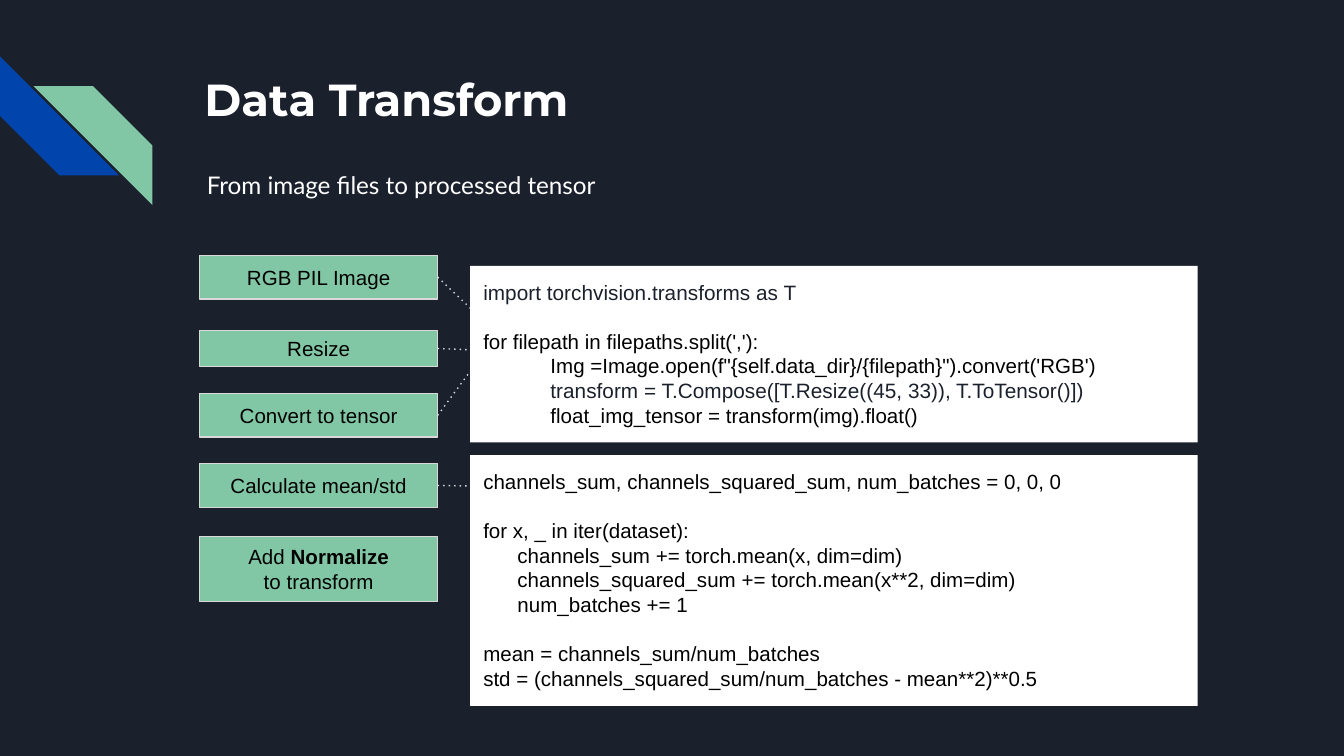
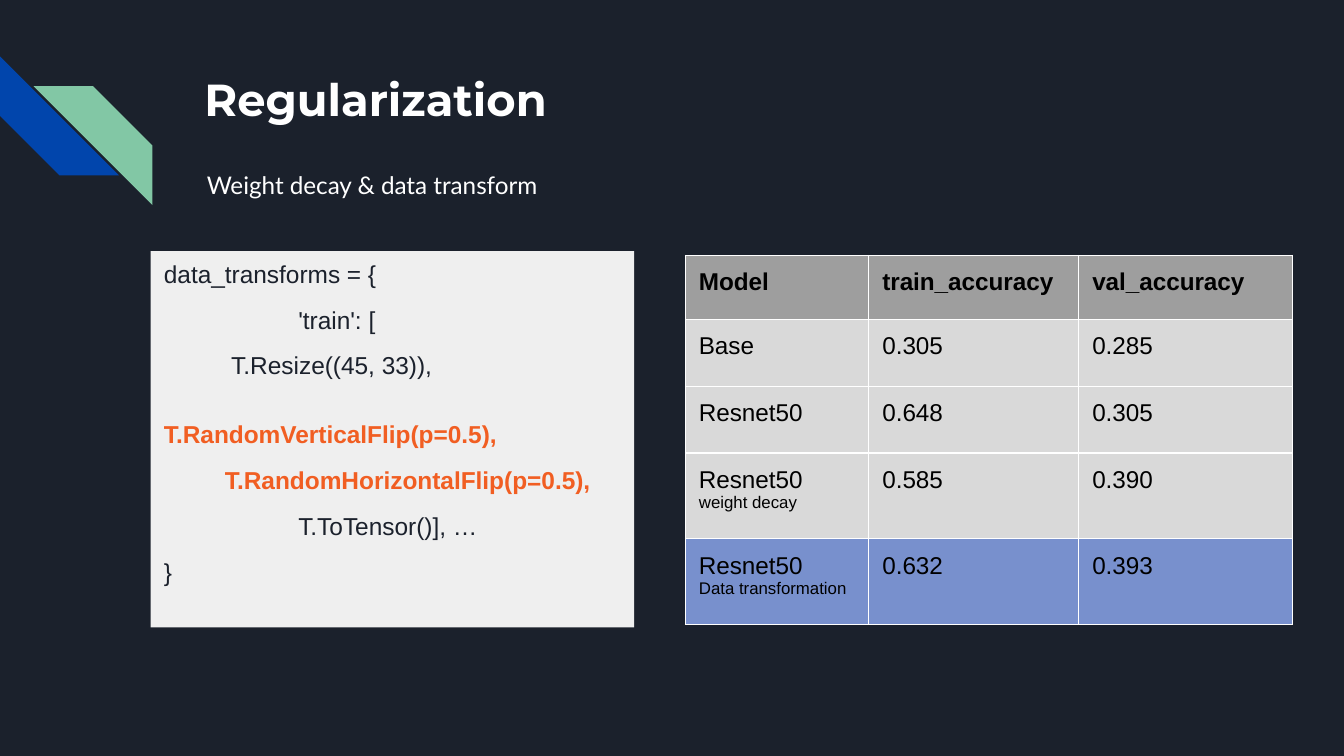
from dataclasses import dataclass

from lxml import etree
from pptx import Presentation
from pptx.dml.color import RGBColor
from pptx.enum import shapes, text
from pptx.oxml.ns import qn
from pptx.util import Pt


@dataclass(frozen=True)
class Theme:
    """Colours, fonts and type sizes of the deck."""
    dark: str = "1B212C"
    blue: str = "0145AC"
    green: str = "82C7A5"
    white: str = "FFFFFF"
    black: str = "000000"
    pale: str = "EFEFEF"
    rule: str = "D9D9D9"
    head: str = "9E9E9E"
    mark: str = "7890CD"
    alert: str = "F15E22"
    sans: str = "Arial"
    lead: str = "Lato"
    bold: str = "Montserrat"
    title: float = 24
    sub: float = 13
    code: float = 13.1
    body: float = 11
    note: float = 9
    inset: float = 7.2
    line: float = 0.75


T = Theme()
LEFT, MID = text.PP_ALIGN.LEFT, text.PP_ALIGN.CENTER


def rgb(tone):
    """Turn a hex string into a colour."""
    return RGBColor.from_string(tone)


def say(frame, words, size=T.body, tone=T.black, font=T.sans, bold=False, align=LEFT,
        space=1.0, before=0, after=0, indent=0, join=False):
    """Add a paragraph, or with join a run in the last paragraph."""
    para = frame.paragraphs[-1]
    if para.runs and not join:
        para = frame.add_paragraph()
    if not join:
        para.alignment, para.line_spacing = align, space
        para.space_before, para.space_after = Pt(before), Pt(after)
        if indent:
            props = para._p.get_or_add_pPr()
            props.set("marL", str(Pt(indent)))
            props.set("indent", "0")
    run = para.add_run()
    run.text = words
    run.font.size, run.font.name, run.font.bold = Pt(size), font, bold
    run.font.color.rgb = rgb(tone)


def pad(frame, anchor=text.MSO_ANCHOR.TOP):
    """Set even insets, wrapping and anchor of a text frame."""
    frame.word_wrap = True
    frame.auto_size = text.MSO_AUTO_SIZE.NONE
    frame.vertical_anchor = anchor
    frame.margin_left = frame.margin_right = Pt(T.inset)
    frame.margin_top = frame.margin_bottom = Pt(T.inset)
    return frame


def block(slide, box, fill, line=None, kind=shapes.MSO_SHAPE.RECTANGLE):
    """Add a flat filled shape."""
    shape = slide.shapes.add_shape(kind, *map(Pt, box))
    shape.shadow.inherit = False
    shape.fill.solid()
    shape.fill.fore_color.rgb = rgb(fill)
    if line:
        shape.line.color.rgb = rgb(line)
        shape.line.width = Pt(T.line)
    else:
        shape.line.fill.background()
    return shape


def panel(slide, box, fill, rows, **base):
    """Add a code panel from rows of words and format."""
    frame = pad(block(slide, box, fill).text_frame)
    for words, form in rows:
        say(frame, words, **{**base, **form})


def step(slide, top, high, words):
    """Add a green step box."""
    shape = block(slide, (107, top, 127.5, high), T.green, T.rule)
    frame = pad(shape.text_frame, text.MSO_ANCHOR.MIDDLE)
    say(frame, words, align=MID)
    return shape


def link(slide, shape, x, y):
    """Run a dotted line from the right side of a step to a point."""
    wire = slide.shapes.add_connector(shapes.MSO_CONNECTOR.STRAIGHT, 0, 0, Pt(x), Pt(y))
    wire.begin_connect(shape, 3)
    wire.line.color.rgb = rgb(T.rule)
    wire.line.width = Pt(T.line)
    props = wire.element.spPr
    etree.SubElement(props.find(qn("a:ln")), qn("a:prstDash"), val="dot")
    etree.SubElement(props, qn("a:effectLst"))


def edge(cell):
    """Draw white borders round a cell."""
    props = cell._tc.get_or_add_tcPr()
    for side in "LRTB":
        line = etree.SubElement(props, qn("a:ln" + side), w=str(Pt(T.line)))
        fill = etree.SubElement(line, qn("a:solidFill"))
        etree.SubElement(fill, qn("a:srgbClr"), val=T.white)


def grid(slide, left, top, wide, high, rows, fills):
    """Add a table; a line break in a cell starts a small note."""
    table = slide.shapes.add_table(len(rows), len(wide), Pt(left), Pt(top),
                                   Pt(sum(wide)), Pt(sum(high))).table
    table.first_row = table.horz_banding = False
    for col, size in zip(table.columns, wide):
        col.width = Pt(size)
    for r, (row, fill) in enumerate(zip(rows, fills)):
        table.rows[r].height = Pt(high[r])
        for c, words in enumerate(row):
            cell = table.cell(r, c)
            edge(cell)
            cell.fill.solid()
            cell.fill.fore_color.rgb = rgb(fill)
            cell.margin_left = cell.margin_right = Pt(T.inset)
            cell.margin_top = cell.margin_bottom = Pt(T.inset)
            for n, part in enumerate(words.split("\n")):
                say(cell.text_frame, part, size=T.note if n else T.sub, bold=r == 0)


def dress(layout, slide):
    """Give the layout its background and corner stripes."""
    layout.background.fill.solid()
    layout.background.fill.fore_color.rgb = rgb(T.dark)
    kind = shapes.MSO_SHAPE.DIAGONAL_STRIPE
    low = block(slide, (0, 30.2, 63.7, 63.7), T.blue, kind=kind)
    low.rotation = 270
    top = block(slide, (18, 46.2, 63.7, 63.7), T.green, kind=kind)
    top.element.spPr.xfrm.set("flipH", "1")
    for shape in (low, top):
        layout.shapes.element.append(shape.element)


def page(deck, title, sub):
    """Add a slide with its title and subtitle."""
    slide = deck.slides.add_slide(deck.slide_layouts[5])
    head = slide.shapes.title
    head.left, head.top, head.width, head.height = map(Pt, (102.3, 31, 554.4, 72))
    say(pad(head.text_frame), title, size=T.title, tone=T.white, font=T.bold, bold=True)
    box = slide.shapes.add_textbox(*map(Pt, (103.7, 81.4, 325.4, 30.2)))
    say(pad(box.text_frame), sub, size=T.sub, tone=T.white, font=T.lead, space=1.15, after=12)
    return slide


def flow(slide):
    """Fill the slide on data transform."""
    steps = [step(slide, *spec) for spec in (
        (136.8, 23.4, "RGB PIL Image"),
        (176.9, 19.6, "Resize"),
        (210.8, 23.4, "Convert to tensor"),
        (248.4, 23.4, "Calculate mean/std"),
        (287.4, 34.8, "Add "))]
    last = steps[-1].text_frame
    say(last, "Normalize", bold=True, join=True)
    say(last, "to transform", align=MID)
    ends = (254, 167), (266.4, 188), (266.4, 179.3), (266.4, 260.6)
    for shape, end in zip(steps, ends):
        link(slide, shape, *end)
    gap = {"before": 13.2}
    deep = {"indent": 36}
    dark = {"tone": T.dark, "size": 11.1}
    panel(slide, (251.8, 142.4, 389.8, 94.6), T.white, (
        ("import torchvision.transforms as T", dark),
        ("for filepath in filepaths.split(','):", gap),
        ("Img =Image.open(f\"{self.data_dir}/{filepath}\").convert('RGB')", deep),
        ("transform = T.Compose([T.Resize((45, 33)), T.ToTensor()])", {**deep, **dark}),
        ("float_img_tensor = transform(img).float()", deep)))
    panel(slide, (251.8, 243.8, 389.8, 134.4), T.white, (
        ("channels_sum, channels_squared_sum, num_batches = 0, 0, 0", {}),
        ("for x, _ in iter(dataset):", gap),
        ("      channels_sum += torch.mean(x, dim=dim)", {}),
        ("      channels_squared_sum += torch.mean(x**2, dim=dim)", {}),
        ("      num_batches += 1", {}),
        ("mean = channels_sum/num_batches", gap),
        ("std = (channels_squared_sum/num_batches - mean**2)**0.5", {})))


def tune(slide):
    """Fill the slide on regularization."""
    hot = {"tone": T.alert, "bold": True}
    panel(slide, (80.7, 134.5, 259, 201.6), T.pale, (
        ("data_transforms = {", {"before": 0}),
        ("'train': [", {"indent": 72}),
        ("          T.Resize((45, 33)),", {}),
        ("T.RandomVerticalFlip(p=0.5),", {**hot, "before": 24.3}),
        ("         T.RandomHorizontalFlip(p=0.5),", hot),
        ("T.ToTensor()], …", {"indent": 72}),
        ("}", {"after": 12})), size=T.code, tone=T.dark, space=0.8, before=12)
    grid(slide, 367.2, 136.8, (98.3, 112.5, 114.6), (34.4, 35.8, 35.8, 45.9, 45.9), (
        ("Model", "train_accuracy", "val_accuracy"),
        ("Base", "0.305", "0.285"),
        ("Resnet50", "0.648", "0.305"),
        ("Resnet50\nweight decay", "0.585", "0.390"),
        ("Resnet50\nData transformation", "0.632", "0.393"),
    ), (T.head, T.rule, T.rule, T.rule, T.mark))


def main():
    """Build and save the deck."""
    deck = Presentation()
    deck.slide_width, deck.slide_height = Pt(720), Pt(405)
    first = page(deck, "Data Transform", "From image files to processed tensor")
    dress(first.slide_layout, first)
    flow(first)
    tune(page(deck, "Regularization", "Weight decay & data transform"))
    deck.save("out.pptx")


if __name__ == "__main__":
    main()
